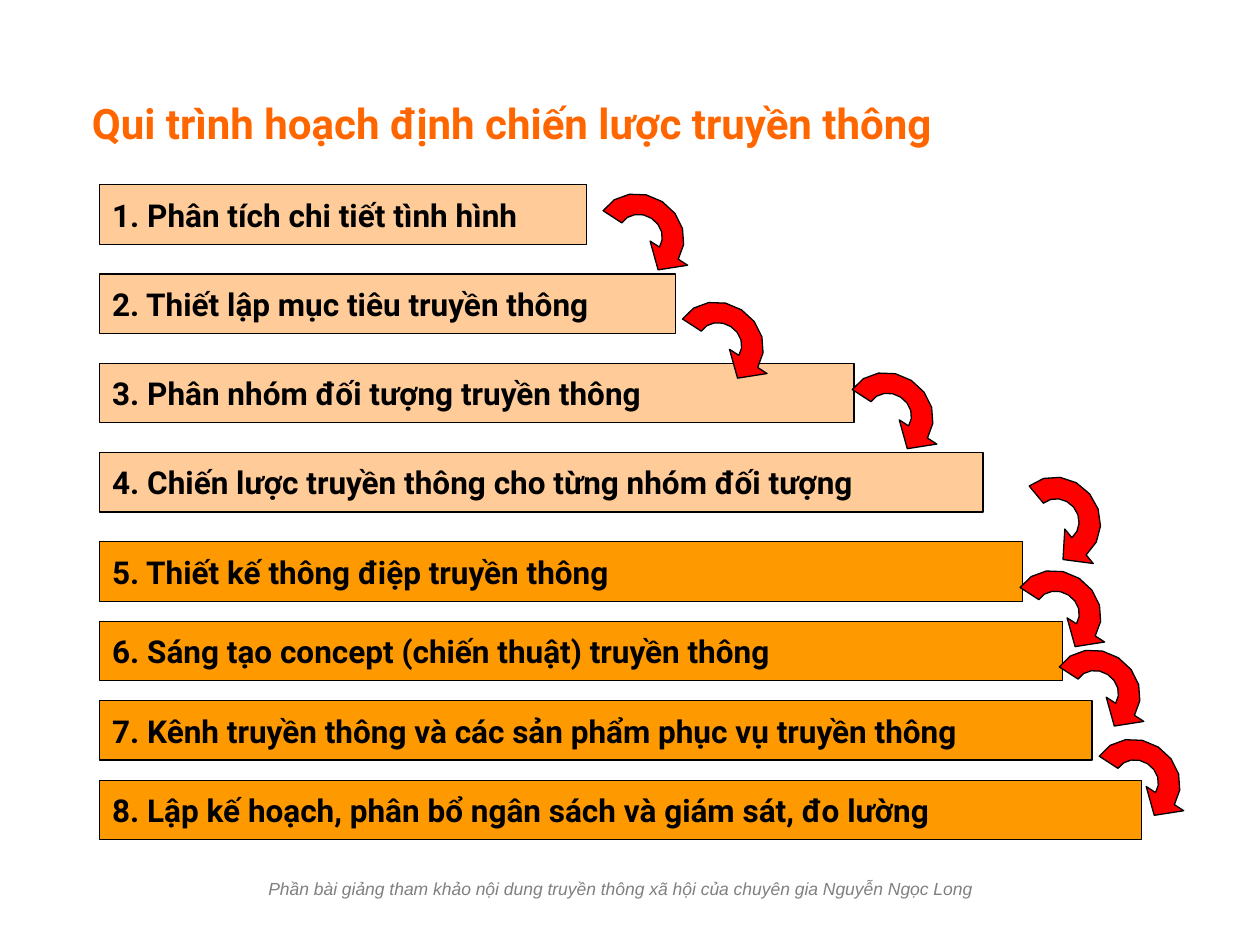
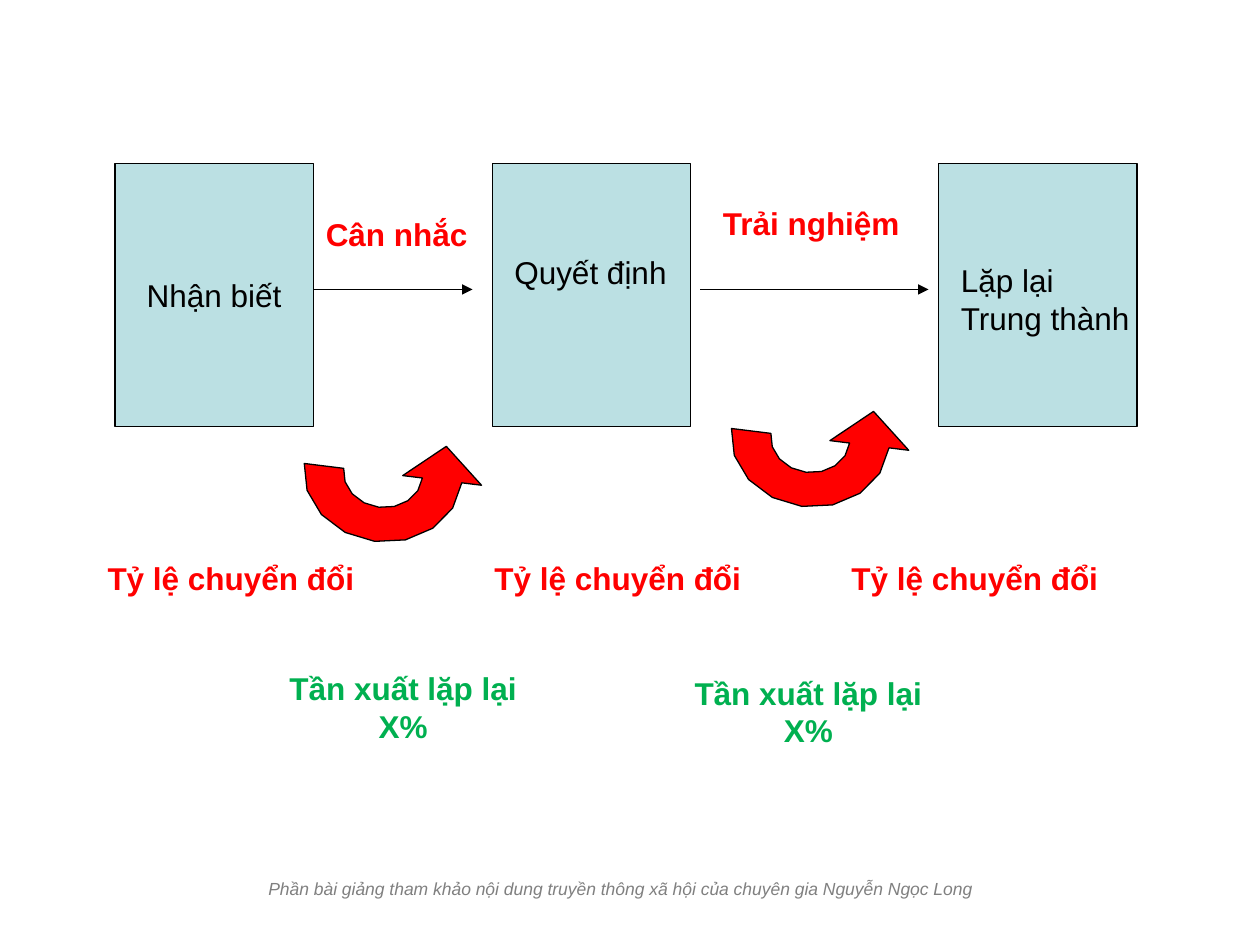
import math

from lxml import etree
from pptx import Presentation
from pptx import util as u
from pptx.dml import color
from pptx.enum import shapes, text
from pptx.oxml import ns

Pt = u.Pt
rgb = color.RGBColor.from_string
BLACK, RED, GREEN, ORANGE, GREY = "000000", "FF0000", "00B050", "FF6600", "808080"
PEACH, AMBER, AQUA = "FFCC99", "FF9900", "BBE0E3"
LEFT, CENTER = text.PP_ALIGN.LEFT, text.PP_ALIGN.CENTER
TOP, MIDDLE = text.MSO_ANCHOR.TOP, text.MSO_ANCHOR.MIDDLE


def dress(shape, fill):
    shape.shadow.inherit = False
    shape.fill.solid()
    shape.fill.fore_color.rgb = rgb(fill)
    shape.line.color.rgb = rgb(BLACK)
    shape.line.width = Pt(0.75)


def write(shape, lines, size, font, colour, bold=False, italic=False,
          align=LEFT, anchor=TOP, wrap=False):
    frame = shape.text_frame
    frame.word_wrap = wrap
    frame.vertical_anchor = anchor
    for number, line in enumerate(lines):
        paragraph = frame.add_paragraph() if number else frame.paragraphs[0]
        paragraph.alignment = align
        run = paragraph.add_run()
        run.text = line
        run.font.size = Pt(size)
        run.font.name = font
        run.font.bold = bold
        run.font.italic = italic
        run.font.color.rgb = rgb(colour)


deck = Presentation()
deck.slide_width, deck.slide_height = Pt(720), Pt(540)
process, funnel = [deck.slides.add_slide(deck.slide_layouts[6]) for _ in range(2)]

title = process.shapes.add_textbox(Pt(45.4), Pt(50.4), Pt(504), Pt(39.6))
write(title, ["Qui trình hoạch định chiến lược truyền thông"], 24, "Roboto", ORANGE,
      bold=True, anchor=MIDDLE)

steps = [
    ("Phân tích chi tiết tình hình", 278),
    ("Thiết lập mục tiêu truyền thông", 329),
    ("Phân nhóm đối tượng truyền thông", 431),
    ("Chiến lược truyền thông cho từng nhóm đối tượng", 504.7),
    ("Thiết kế thông điệp truyền thông", 527.2),
    ("Sáng tạo concept (chiến thuật) truyền thông", 550),
    ("Kênh truyền thông và các sản phẩm phục vụ truyền thông", 567),
    ("Lập kế hoạch, phân bổ ngân sách và giám sát, đo lường", 595.4),
]
step_top = 105.6
for number, (step, width) in enumerate(steps, 1):
    bar = process.shapes.add_shape(shapes.MSO_SHAPE.RECTANGLE,
                                   Pt(57), Pt(step_top), Pt(width), Pt(34))
    dress(bar, PEACH if number <= 4 else AMBER)
    write(bar, [f"{number}. {step}"], 18, "Roboto", BLACK,
          bold=True, anchor=MIDDLE, wrap=True)
    step_top += 51 if number <= 4 else 45.4

stages = [funnel.shapes.add_shape(shapes.MSO_SHAPE.RECTANGLE,
                                  Pt(left), Pt(93.5), Pt(113.3), Pt(150.3))
          for left in (65.7, 281.3, 536.4)]
for stage in stages:
    dress(stage, AQUA)
write(stages[0], ["Nhận biết"], 18, "Arial", BLACK, align=CENTER, anchor=MIDDLE)

for start, end in ((179.2, 270), (400.3, 530.6)):
    move = funnel.shapes.add_connector(shapes.MSO_CONNECTOR.STRAIGHT,
                                       Pt(start), Pt(165.4), Pt(end), Pt(165.4))
    move.line.color.rgb = rgb(BLACK)
    move.line.width = Pt(0.75)
    etree.SubElement(move.line._get_or_add_ln(), ns.qn("a:tailEnd"), type="triangle")
    etree.SubElement(move._element.spPr, ns.qn("a:effectLst"))

rate = ["Tỷ lệ chuyển đổi"]
frequency = ["Tần xuất lặp lại", "X%"]
labels = [
    (286.8, 141.1, 101.5, ["Quyết định"], BLACK, False, LEFT),
    (542, 145.6, 111.6, ["Lặp lại", "Trung thành"], BLACK, False, LEFT),
    (179.1, 119.5, 95.8, ["Cân nhắc"], RED, True, LEFT),
    (406, 113, 116.6, ["Trải nghiệm"], RED, True, LEFT),
    (54.4, 316, 155.5, rate, RED, True, LEFT),
    (275.5, 316, 155.5, rate, RED, True, LEFT),
    (479.5, 316, 155.5, rate, RED, True, LEFT),
    (157.3, 379, 146.2, frequency, GREEN, True, CENTER),
    (388.8, 381.4, 146.2, frequency, GREEN, True, CENTER),
]
for left, top, width, lines, colour, bold, align in labels:
    label = funnel.shapes.add_textbox(Pt(left), Pt(top), Pt(width),
                                      Pt(33 if len(lines) == 1 else 58.7))
    write(label, lines, 18, "Arial", colour, bold=bold, align=align)

angles = [math.pi * i / 8 for i in range(9)]
inner_arc = [(math.cos(a) / 4, -math.sin(a) / 4) for a in angles]
outer_arc = [(-math.cos(a) / 2, -math.sin(a) / 2) for a in angles]
half_ring = inner_arc + outer_arc + [(0.625, 0), (0.375, 0.25), (0.125, 0)]
turns = [
    (process, 51.1, 45.4, 32.8, 1, [(366.1, 134.3), (411.5, 196.2), (508.5, 236.5),
                                    (604.4, 349.6), (626.8, 395), (649.6, 446)]),
    (process, 51.1, 47.5, 50.4, 1, [(604.4, 297.4)]),
    (funnel, 90.7, 78.5, 7, -1, [(218.9, 270.4), (463, 250.4)]),
]
for slide, width, height, tilt, bend, centres in turns:
    cos, sin = math.cos(math.radians(tilt)), math.sin(math.radians(tilt))
    outline = [(x * width * cos - y * bend * height * sin,
                x * width * sin + y * bend * height * cos) for x, y in half_ring]
    for across, down in centres:
        points = [(Pt(across + x), Pt(down + y)) for x, y in outline]
        builder = slide.shapes.build_freeform(*points[0])
        builder.add_line_segments(points[1:], close=True)
        dress(builder.convert_to_shape(), RED)

for slide in (process, funnel):
    footer = slide.shapes.add_textbox(Pt(146.2), Pt(498.2), Pt(419), Pt(19.4))
    write(footer, ["Phần bài giảng tham khảo nội dung truyền thông xã hội "
                   "của chuyên gia Nguyễn Ngọc Long"], 10, "Arial", GREY, italic=True)

deck.save("out.pptx")
